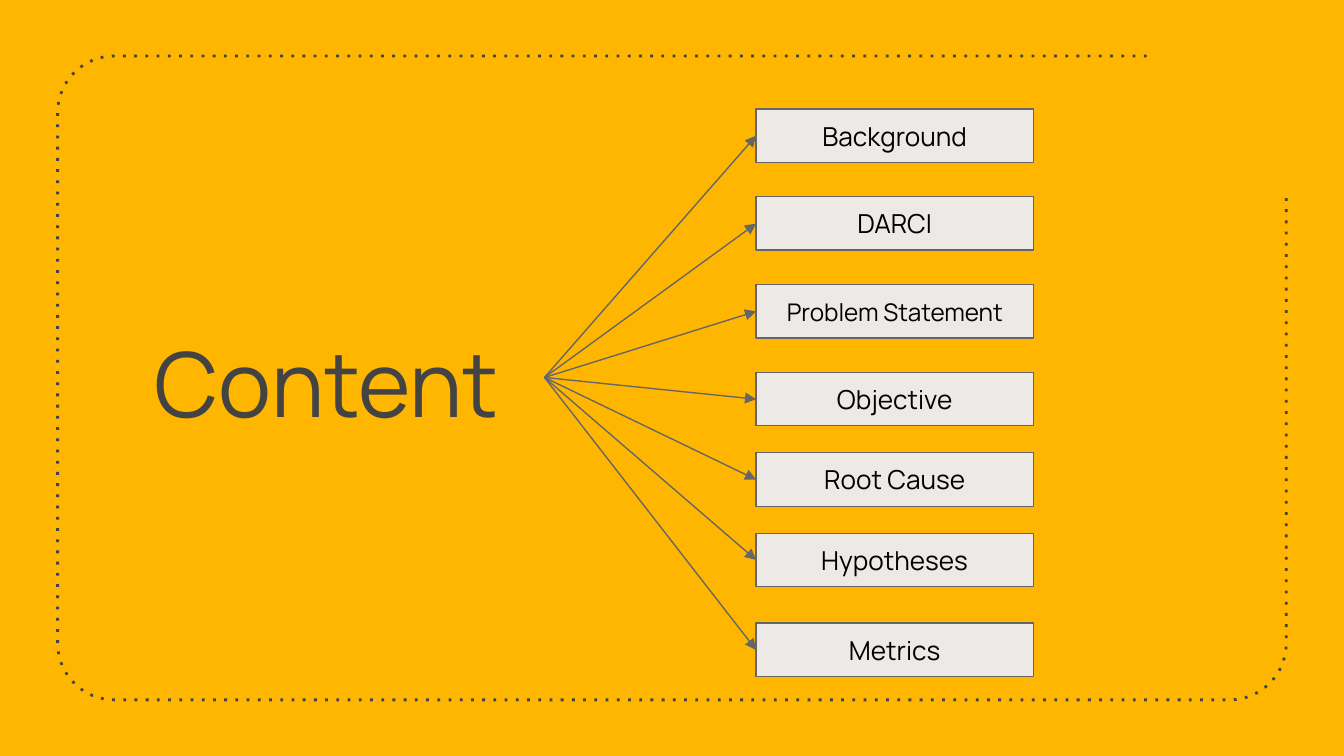
from math import cos, radians, sin

from lxml.etree import SubElement
from pptx import Presentation
from pptx.dml.color import RGBColor
from pptx.enum.shapes import MSO_CONNECTOR as Connector, MSO_SHAPE as Shape
from pptx.enum.text import MSO_ANCHOR as Anchor, MSO_AUTO_SIZE as AutoSize, PP_ALIGN as Align
from pptx.oxml.ns import qn
from pptx.util import Cm, Pt

COLORS = {
    "background": "FFB600",
    "title": "434343",
    "frame": "434343",
    "box": "ECE9E6",
    "line": "666666",
    "text": "000000",
}
FONT = "Manrope"
INSET = Cm(0.25)

# Topic, top edge in cm, text size in points
TOPICS = [
    ("Background", 2.06, 14),
    ("DARCI", 3.72, 14),
    ("Problem Statement", 5.38, 13),
    ("Objective", 7.04, 14),
    ("Root Cause", 8.56, 14),
    ("Hypotheses", 10.08, 14),
    ("Metrics", 11.78, 14),
]


def color(name):
    return RGBColor.from_string(COLORS[name])


def write_text(shape, text, size, ink="text", align=Align.LEFT, anchor=Anchor.MIDDLE):
    frame = shape.text_frame
    frame.word_wrap = True
    frame.auto_size = AutoSize.NONE
    frame.vertical_anchor = anchor
    frame.margin_left = frame.margin_right = INSET
    frame.margin_top = frame.margin_bottom = INSET
    para = frame.paragraphs[0]
    para.alignment = align
    span = para.add_run()
    span.text = text
    span.font.name = FONT
    span.font.size = Pt(size)
    span.font.color.rgb = color(ink)


def style_line(shape, name, width, **ending):
    """Set the outline; each keyword adds a line element (prstDash, tailEnd) with its attributes."""
    shape.line.color.rgb = color(name)
    shape.line.width = Pt(width)
    line = shape._element.spPr.find(qn("a:ln"))
    for tag, attributes in ending.items():
        SubElement(line, qn(f"a:{tag}"), attributes)


def add_frame(page):
    """Draw the dotted frame with three round corners and an open upper right one."""
    left, top, right, bottom, radius = 1.09, 1.06, 24.31, 13.23, 1.07
    corners = [
        (left + radius, top + radius, 270),
        (left + radius, bottom - radius, 180),
        (right - radius, bottom - radius, 90),
    ]
    points = [
        (x + radius * cos(radians(start - step)), y + radius * sin(radians(start - step)))
        for x, y, start in corners
        for step in range(0, 91, 6)
    ]
    points.append((right, 3.71))
    builder = page.shapes.build_freeform(Cm(21.67), Cm(top))
    builder.add_line_segments([(Cm(x), Cm(y)) for x, y in points], close=False)
    frame = builder.convert_to_shape()
    frame.shadow.inherit = False
    frame.fill.background()
    style_line(frame, "frame", 1.5, prstDash={"val": "dot"})


def add_title(page, text):
    title = page.shapes.title
    title.left, title.top, title.width, title.height = Cm(2.67), Cm(5.79), Cm(7.62), Cm(2.69)
    write_text(title, text, 48, ink="title", anchor=Anchor.BOTTOM)
    return title


def add_topic(page, text, top, size):
    box = page.shapes.add_shape(Shape.RECTANGLE, Cm(14.29), Cm(top), Cm(5.24), Cm(1.01))
    box.shadow.inherit = False
    box.fill.solid()
    box.fill.fore_color.rgb = color("box")
    style_line(box, "line", 0.75)
    write_text(box, text, size, align=Align.CENTER)
    return box


def add_arrow(page, source, target):
    """Join the right side of source to the left side of target."""
    arrow = page.shapes.add_connector(Connector.STRAIGHT, 0, 0, 0, 0)
    arrow.begin_connect(source, 3)
    arrow.end_connect(target, 1)
    style_line(arrow, "line", 0.75, tailEnd={"type": "triangle"})
    SubElement(arrow._element.spPr, qn("a:effectLst"))


def main():
    deck = Presentation()
    deck.slide_width, deck.slide_height = Cm(25.4), Cm(14.29)
    page = deck.slides.add_slide(deck.slide_layouts[0])
    page.background.fill.solid()
    page.background.fill.fore_color.rgb = color("background")
    subtitle = page.placeholders[1]._element
    subtitle.getparent().remove(subtitle)

    add_frame(page)
    title = add_title(page, "Content")
    boxes = [add_topic(page, *topic) for topic in TOPICS]
    for box in boxes:
        add_arrow(page, title, box)
    deck.save("out.pptx")


if __name__ == "__main__":
    main()
